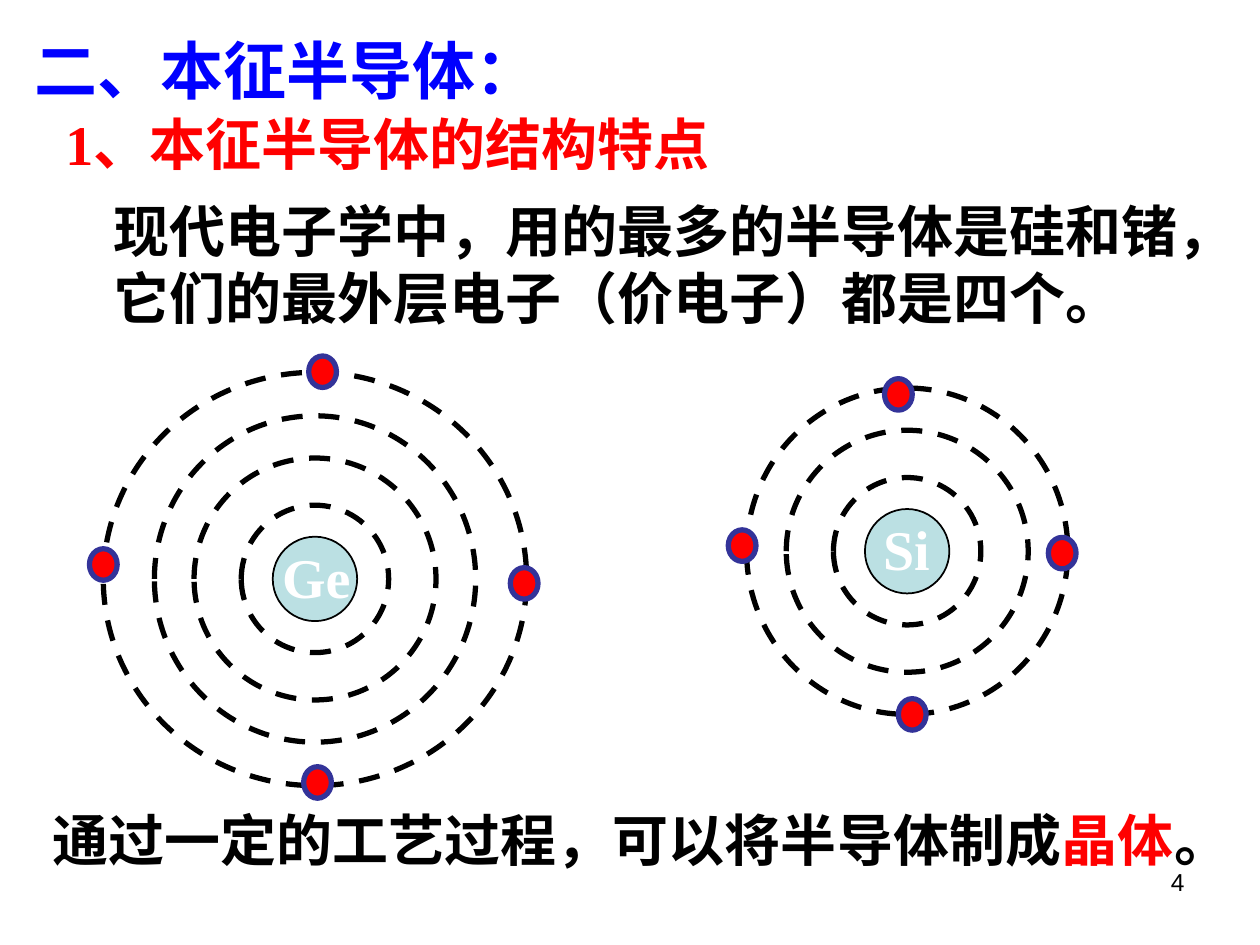
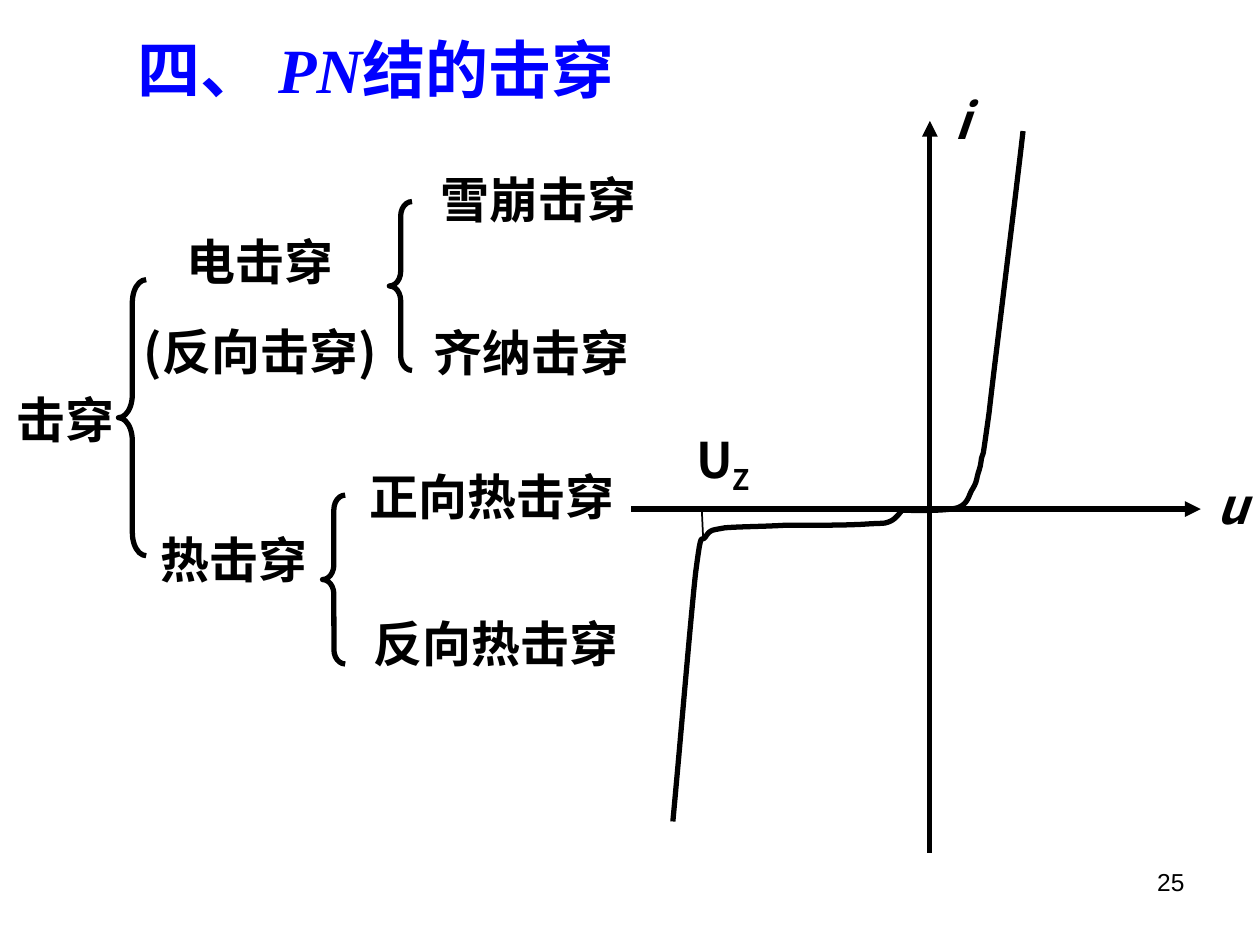
import pptx
import pptx.util
import pptx.dml.color
import pptx.enum.dml
import pptx.enum.shapes
import pptx.enum.text
import lxml.etree
import pptx.oxml.ns

COLS, ROWS = 100, 75
WIDE, HIGH = pptx.util.Inches(10), pptx.util.Inches(7.5)
BLACK, WHITE, RED, BLUE = "000000", "FFFFFF", "FF0000", "0000FF"
CORE, RIM = "BBE0E3", "333399"
SERIF, SANS, PLAIN = "Times New Roman", "Noto Sans CJK SC", "Arial"
ALIGN = pptx.enum.text.PP_ALIGN
SHAPE = pptx.enum.shapes.MSO_SHAPE
MIDDLE = pptx.enum.text.MSO_ANCHOR.MIDDLE
TOP = pptx.enum.text.MSO_ANCHOR.TOP


def col(x):
    return round(WIDE * x / COLS)


def row(y):
    return round(HIGH * y / ROWS)


def box(x, y, w, h):
    return col(x), row(y), col(w), row(h)


def paint(target, code):
    target.rgb = pptx.dml.color.RGBColor.from_string(code)


def add_tag(node, name, **attrs):
    return lxml.etree.SubElement(node, pptx.oxml.ns.qn(name), attrs)


def style(run, size, font, color, bold=True, italic=False, base=None):
    run.font.size = pptx.util.Pt(size)
    run.font.name = font
    run.font.bold = bold
    run.font.italic = italic
    paint(run.font.color, color)
    if base:
        run.font._element.set("baseline", str(base))


def fill_text(shape, paras, size, font, color=BLACK, align=ALIGN.LEFT,
              anchor=TOP, gap=0, wrap=True, bold=True):
    frame = shape.text_frame
    frame.auto_size = pptx.enum.text.MSO_AUTO_SIZE.NONE
    frame.word_wrap = wrap
    frame.vertical_anchor = anchor
    for i, parts in enumerate(paras):
        para = frame.add_paragraph() if i else frame.paragraphs[0]
        para.alignment = align
        para.space_before = pptx.util.Pt(gap if i else 0)
        for words, extra in parts:
            run = para.add_run()
            run.text = words
            style(run, **{"size": size, "font": font, "color": color,
                          "bold": bold, **extra})


def add_text(shapes, place, words, size=32, font=SERIF, **look):
    shape = shapes.add_textbox(*box(*place))
    paras = [[(words, {})]] if isinstance(words, str) else words
    fill_text(shape, paras, size, font, **look)


def add_term(shapes, place, words, **look):
    look = {"align": ALIGN.CENTER, "gap": 17.5, **look}
    add_text(shapes, place, words, 28, SANS, **look)


def add_page(deck, place, parts, number, **look):
    slide = deck.slides.add_slide(deck.slide_layouts[5])
    title = slide.shapes.title
    title.left, title.top, title.width, title.height = box(*place)
    fill_text(title, [parts], 36, SERIF, color=BLUE, **look)
    add_text(slide.shapes, (71.7, 68.3, 23.3, 5.2), number, 14, PLAIN,
             align=ALIGN.RIGHT, bold=False)
    return slide.shapes


def draw_edge(shape, color=BLACK, width=3, dash=False):
    paint_line = shape.line
    paint(paint_line.color, color) if paint_line.fill.solid() is None else None
    paint_line.width = pptx.util.Pt(width)
    if dash:
        paint_line.dash_style = pptx.enum.dml.MSO_LINE.DASH


def add_disc(shapes, mid, w, h, fill=None, **edge):
    x, y = mid
    disc = shapes.add_shape(SHAPE.OVAL, *box(x - w / 2, y - h / 2, w, h))
    disc.shadow.inherit = False
    if fill:
        disc.fill.solid()
        paint(disc.fill.fore_color, fill)
    else:
        disc.fill.background()
    draw_edge(disc, **edge)


def add_atom(slide, name, mid, left, shells, dots):
    shapes = slide.add_group_shape().shapes
    for w, h in shells:
        add_disc(shapes, mid, w, h, dash=True)
    add_disc(shapes, mid, 6.7, 6.7, CORE, width=1)
    add_text(shapes, (left, mid[1] - 3.4, 8.5, 6.4), name, color=WHITE)
    for dot in dots:
        add_disc(shapes, dot, 2.2, 2.5, RED, color=RIM)


def add_brace(shapes, place, bend):
    brace = shapes.add_shape(SHAPE.LEFT_BRACE, *box(*place))
    brace.shadow.inherit = False
    brace.fill.background()
    brace.adjustments[0] = bend
    draw_edge(brace)


def add_line(shapes, start, end, width=3, arrow=True):
    line = shapes.add_connector(pptx.enum.shapes.MSO_CONNECTOR.STRAIGHT,
                                col(start[0]), row(start[1]),
                                col(end[0]), row(end[1]))
    draw_edge(line, width=width)
    if arrow:
        add_tag(line.line._get_or_add_ln(), "a:tailEnd", type="triangle")
    add_tag(line._element.spPr, "a:effectLst")


def bend_at(knots, t):
    s = 1 - t
    shares = (s ** 3, 3 * s * s * t, 3 * s * t * t, t ** 3)
    return tuple(sum(k * p[axis] for k, p in zip(shares, knots))
                 for axis in (0, 1))


def add_curve(shapes, knots, steps=10):
    dots = [bend_at(knots[i:i + 4], n / steps)
            for i in range(0, len(knots) - 1, 3) for n in range(1, steps + 1)]
    path = shapes.build_freeform(col(knots[0][0]), row(knots[0][1]))
    path.add_line_segments([(col(x), row(y)) for x, y in dots], close=False)
    curve = path.convert_to_shape()
    curve.shadow.inherit = False
    curve.fill.background()
    draw_edge(curve)


def build_atoms(deck):
    shapes = add_page(deck, (1.7, 2, 81.7, 7),
                      [("二、", {}), ("本征半导体：", {"font": SANS})], "4")
    add_text(shapes, (4.2, 8.2, 90.8, 6.4), "1、本征半导体的结构特点", color=RED)
    shells = [(11.7, 11.7), (19.2, 19.2), (25.5, 25.9), (33.6, 32.8)]
    add_atom(shapes, "Ge", (25, 45.95), 21.4, shells,
             [(41.6, 46.3), (8.2, 44.8), (25.6, 29.5), (25.2, 62.1)])
    add_atom(shapes, "Si", (72, 43.75), 69.1, shells[:3],
             [(58.9, 43.3), (72.4, 56.7), (84.3, 43.9), (71.3, 31.3)])
    add_text(shapes, (3.2, 63.4, 96.8, 6.4),
             [[("通过一定的工艺过程，可以将半导体制成", {}),
               ("晶体", {"color": RED}), ("。", {})]])
    add_text(shapes, (8, 15.1, 90.8, 11.7),
             "现代电子学中，用的最多的半导体是硅和锗，"
             "它们的最外层电子（价电子）都是四个。")


def build_graph(slide):
    shapes = slide.add_group_shape().shapes
    add_line(shapes, (73.8, 67.7), (73.8, 9.6))
    add_line(shapes, (50.1, 40.4), (95.3, 40.4))
    add_line(shapes, (55.8, 42.6), (55.7, 40.4), width=1, arrow=False)
    start = (71.6, 40.5)
    add_curve(shapes, [
        start, (72.3, 40.5), (75, 40.6), (76, 40.3),
        (76.9, 40), (76.9, 39.2), (77.2, 38.8),
        (77.5, 38.3), (77.5, 38.1), (77.6, 37.7),
        (77.7, 37.3), (77.8, 37.2), (77.9, 36.4),
        (78.1, 35.6), (77.9, 37.1), (78.5, 32.8),
        (79, 28.4), (80.8, 14.1), (81.2, 10.4)])
    add_curve(shapes, [
        start, (71.4, 40.7), (71.1, 41.2), (70.6, 41.4),
        (70.1, 41.6), (70.1, 41.5), (68.7, 41.6),
        (67.3, 41.7), (64.1, 41.7), (62.2, 41.7),
        (60.4, 41.8), (58.5, 41.8), (57.5, 41.9),
        (56.5, 42.1), (56.4, 42), (56, 42.6),
        (55.6, 43.2), (55.7, 41.7), (55.2, 45.5),
        (54.8, 49.2), (53.8, 61.1), (53.4, 65.2)])
    slant = {"italic": True}
    add_term(shapes, (72.9, 6.7, 6.9, 5.7), [[("i", slant)]], anchor=MIDDLE)
    add_term(shapes, (92.1, 37.2, 11.4, 5.7), [[("u", slant)]], anchor=MIDDLE)
    add_term(shapes, (52.1, 33.6, 10.6, 6.3),
             [[("U", {}), ("Z", {"base": -25000})]])


def build_tree(shapes):
    terms = [
        ((10.7, 41.5, 15.8, 5.7), "热击穿"),
        ((30.5, 13, 24.5, 5.7), "雪崩击穿"),
        ((31.8, 25.1, 20.8, 5.7), "齐纳击穿"),
        ((26.1, 36.5, 25.9, 5.7), "正向热击穿"),
        ((26.4, 48.2, 25.9, 5.7), "反向热击穿"),
    ]
    for place, words in terms:
        add_term(shapes, place, words)
    add_term(shapes, (10.3, 17.9, 20.7, 17.5),
             [[("电击穿", {})], [("(反向击穿)", {})]])
    add_term(shapes, (0.3, 30.4, 9.7, 5.7), "击穿",
             align=ALIGN.LEFT, wrap=False)
    add_brace(shapes, (9.4, 22.2, 2.2, 21.9), 0.83)
    for x, y in [(30.9, 16), (25.6, 39.3)]:
        add_brace(shapes, (x, y, 1.8, 13.4), 0.64)


def main():
    deck = pptx.Presentation()
    deck.slide_width, deck.slide_height = WIDE, HIGH
    build_atoms(deck)
    shapes = add_page(deck, (8.1, 1.9, 43.5, 7),
                      [("四、 ", {}), ("PN", {"italic": True}),
                       ("结的击穿", {})],
                      "25", align=ALIGN.CENTER, wrap=False)
    build_graph(shapes)
    build_tree(shapes)
    deck.save("out.pptx")


if __name__ == "__main__":
    main()
